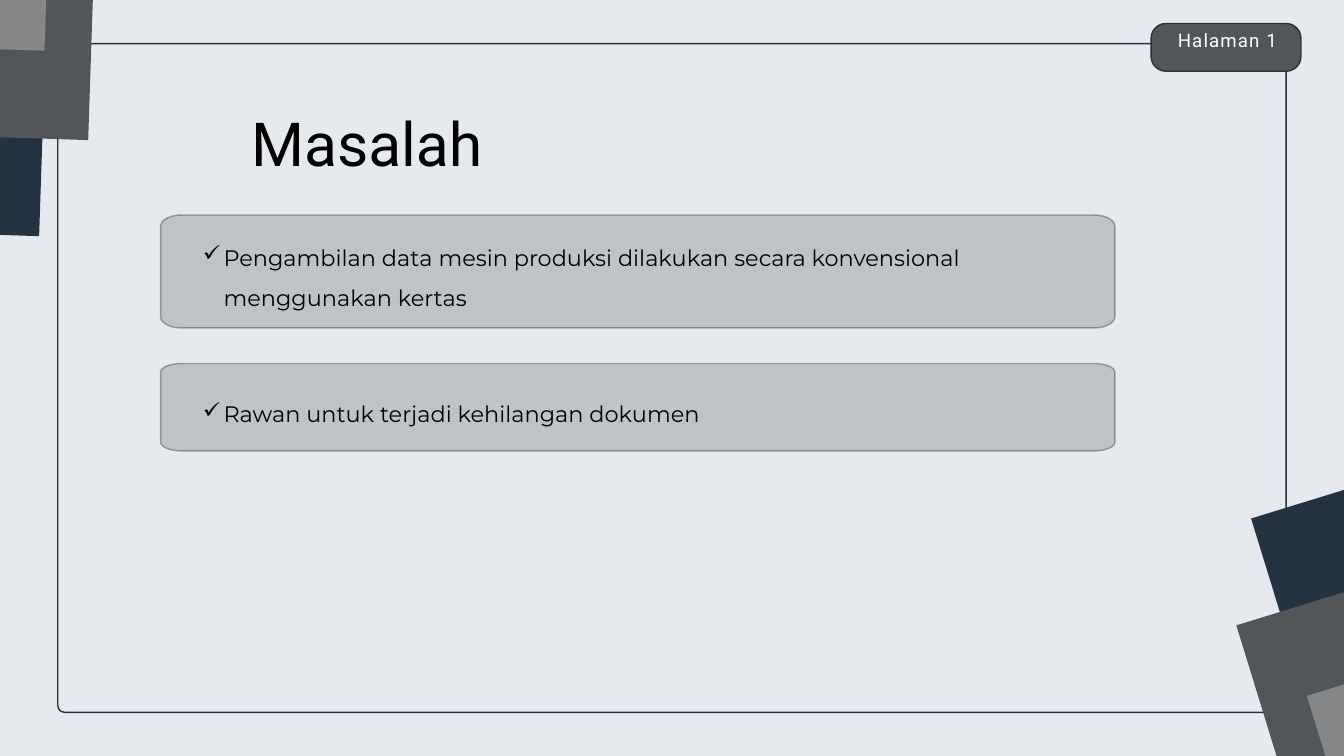
from dataclasses import dataclass
from math import cos, pi, sin
from typing import Optional

from lxml.etree import SubElement
from pptx import Presentation
from pptx.dml.color import RGBColor
from pptx.enum.shapes import MSO_SHAPE
from pptx.enum.text import MSO_AUTO_SIZE, PP_ALIGN
from pptx.oxml.ns import qn
from pptx.util import Inches, Pt

BACKGROUND = RGBColor(0xE6, 0xEA, 0xEF)
NAVY = RGBColor(0x24, 0x33, 0x42)
DARK_GREY = RGBColor(0x53, 0x56, 0x59)
MID_GREY = RGBColor(0x85, 0x87, 0x89)
BLACK = RGBColor(0, 0, 0)
WHITE = RGBColor(0xFF, 0xFF, 0xFF)


@dataclass
class Box:
    left: float
    top: float
    width: float
    height: float

    def lengths(self):
        return [Inches(value) for value in (self.left, self.top, self.width, self.height)]


@dataclass
class Tile:
    left: float
    top: float
    rotation: float
    color: RGBColor


@dataclass
class Problem:
    panel: Box
    text_box: Box
    text: str


TILES = [
    Tile(-5.4, -2.67, 271.9, NAVY),
    Tile(-4.67, -4.1, 271.9, DARK_GREY),
    Tile(-5.32, -5.43, 271.9, MID_GREY),
    Tile(19.39, 6.67, 72.9, NAVY),
    Tile(19.17, 8.26, 72.9, DARK_GREY),
    Tile(20.22, 9.31, 72.9, MID_GREY),
]
PROBLEMS = [
    Problem(Box(2.39, 3.2, 14.2, 1.68), Box(2.92, 3.38, 12.67, 1.31),
            "Pengambilan data mesin produksi dilakukan secara konvensional menggunakan kertas"),
    Problem(Box(2.39, 5.41, 14.2, 1.3), Box(2.92, 5.71, 12.58, 0.64),
            "Rawan untuk terjadi kehilangan dokumen"),
]


def paint(shape, fill: RGBColor, line: Optional[RGBColor] = None, opacity: int = 100) -> None:
    shape.shadow.inherit = False
    shape.fill.solid()
    shape.fill.fore_color.rgb = fill
    if line is None:
        shape.line.fill.background()
    else:
        shape.line.color.rgb = line
        shape.line.width = Pt(1.5)
    if opacity < 100:
        for color in shape._element.spPr.iter(qn("a:srgbClr")):
            SubElement(color, qn("a:alpha")).set("val", str(opacity * 1000))


def add_rounded(slide, box: Box, radius: float, fill: RGBColor) -> None:
    shape = slide.shapes.add_shape(MSO_SHAPE.ROUNDED_RECTANGLE, *box.lengths())
    shape.adjustments[0] = radius / min(box.width, box.height)
    paint(shape, fill, NAVY)


def add_tile(slide, tile: Tile) -> None:
    box = Box(tile.left, tile.top, 6.07, 6.1)
    shape = slide.shapes.add_shape(MSO_SHAPE.RECTANGLE, *box.lengths())
    shape.rotation = tile.rotation
    paint(shape, tile.color)


def add_panel(slide, box: Box) -> None:
    """Draw a translucent panel with elliptical corners."""
    radius_x, radius_y, steps = 0.31, box.height * 0.1, 12
    right, bottom = box.left + box.width, box.top + box.height
    centers = [
        (right - radius_x, bottom - radius_y),
        (box.left + radius_x, bottom - radius_y),
        (box.left + radius_x, box.top + radius_y),
        (right - radius_x, box.top + radius_y),
    ]
    points = []
    for corner, (center_x, center_y) in enumerate(centers):
        for step in range(steps + 1):
            angle = (corner + step / steps) * pi / 2
            points.append((Inches(center_x + radius_x * cos(angle)),
                           Inches(center_y + radius_y * sin(angle))))
    builder = slide.shapes.build_freeform(*points[0])
    builder.add_line_segments(points[1:], close=True)
    paint(builder.convert_to_shape(), MID_GREY, NAVY, opacity=40)


def add_text(slide, box: Box, text: str, font: dict, color: RGBColor, line_spacing,
             bullet: str = "", spacing: float = 0) -> None:
    frame = slide.shapes.add_textbox(*box.lengths()).text_frame
    frame.word_wrap = True
    frame.auto_size = MSO_AUTO_SIZE.SHAPE_TO_FIT_TEXT
    paragraph = frame.paragraphs[0]
    if bullet:
        properties = paragraph._p.get_or_add_pPr()
        properties.set("marL", str(Inches(0.31)))
        properties.set("indent", str(-Inches(0.31)))
        SubElement(properties, qn("a:buChar")).set("char", bullet)
    else:
        paragraph.alignment = PP_ALIGN.CENTER
        for side in ("left", "top", "right", "bottom"):
            setattr(frame, f"margin_{side}", 0)
    paragraph.line_spacing = line_spacing
    run = paragraph.add_run()
    run.text = text
    for name, value in font.items():
        setattr(run.font, name, value)
    run.font.color.rgb = color
    if spacing:
        run._r.get_or_add_rPr().set("spc", str(round(spacing * 100)))


def main() -> None:
    presentation = Presentation()
    presentation.slide_width = Inches(20)
    presentation.slide_height = Inches(11.25)
    slide = presentation.slides.add_slide(presentation.slide_layouts[6])
    slide.background.fill.solid()
    slide.background.fill.fore_color.rgb = BACKGROUND

    # Frame and corner decoration
    add_rounded(slide, Box(0.86, 0.65, 18.28, 9.95), 0.1, BACKGROUND)
    for tile in TILES:
        add_tile(slide, tile)

    # Title
    add_text(slide, Box(1.23, 1.83, 8.46, 0.89), "Masalah",
             {"name": "Roboto", "size": Pt(65)}, BLACK, Pt(59.8))

    # Page badge
    add_rounded(slide, Box(17.13, 0.35, 2.23, 0.71), 0.22, DARK_GREY)
    add_text(slide, Box(17.08, 0.38, 2.37, 0.37), "Halaman 1",
             {"name": "Roboto", "size": Pt(20)}, WHITE, Pt(28), spacing=1.2)

    # Problem panels
    for problem in PROBLEMS:
        add_panel(slide, problem.panel)
        add_text(slide, problem.text_box, problem.text,
                 {"name": "Montserrat", "size": Pt(24)}, BLACK, 1.5, bullet="✓")

    presentation.save("out.pptx")


if __name__ == "__main__":
    main()
